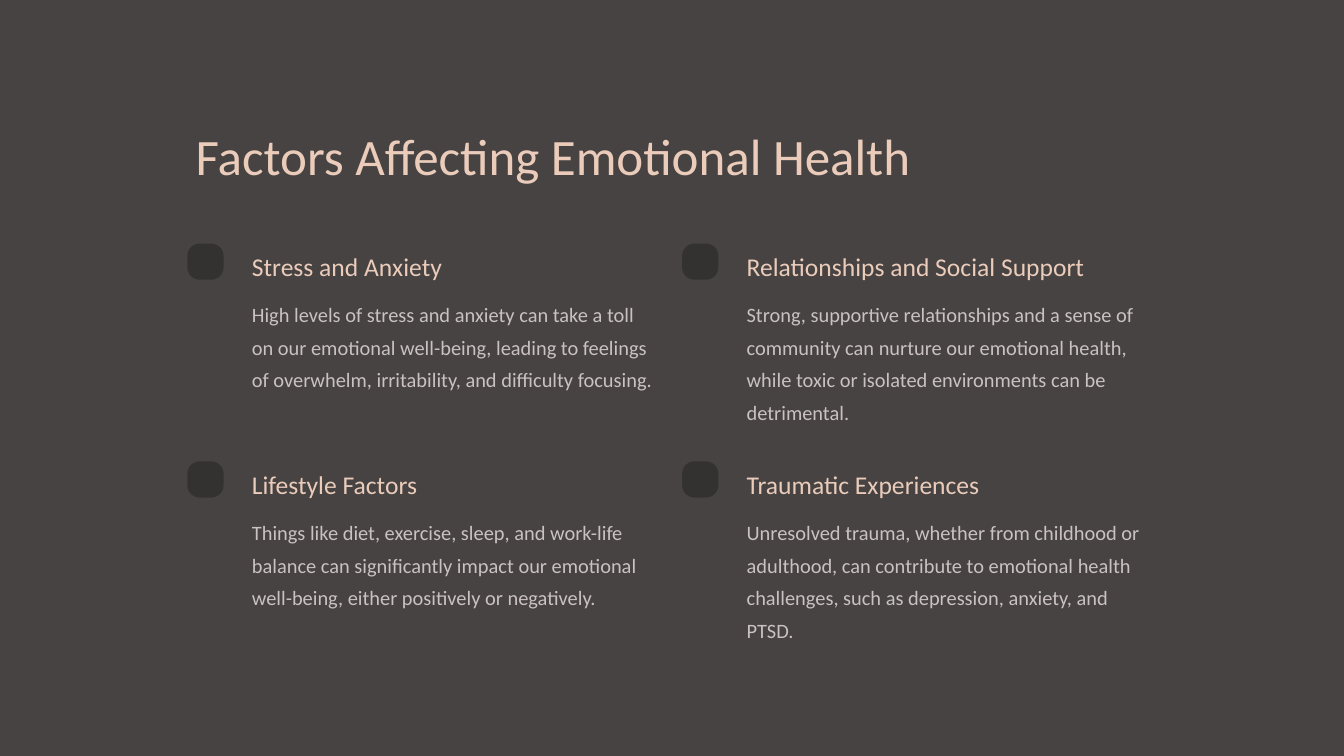
"""Build the slide on factors that affect emotional health."""
import pptx
import pptx.util
import pptx.dml.color
import pptx.enum.shapes

Pt = pptx.util.Pt
Kind = pptx.enum.shapes.MSO_SHAPE


def color(code):
    return pptx.dml.color.RGBColor.from_string(code)


class Deck:
    font = "Calibri"
    back = "464342"
    badge = "343131"
    head = "EBCCBB"
    body = "C9C2C0"

    def __init__(self, wide, high):
        self.file = pptx.Presentation()
        self.file.slide_width = Pt(wide)
        self.file.slide_height = Pt(high)
        self.slide = self.file.slides.add_slide(self.file.slide_layouts[6])

    def shape(self, kind, left, top, wide, high, fill):
        item = self.slide.shapes.add_shape(
            kind, Pt(left), Pt(top), Pt(wide), Pt(high))
        item.shadow.inherit = False
        item.fill.solid()
        item.fill.fore_color.rgb = color(fill)
        item.line.fill.background()
        return item

    def text(self, words, *, left, top, wide, high, size, lead, tint, wrap=False):
        box = self.slide.shapes.add_textbox(
            Pt(left), Pt(top), Pt(wide), Pt(high))
        box.text_frame.word_wrap = wrap
        para = box.text_frame.paragraphs[0]
        para.line_spacing = Pt(lead)
        run = para.add_run()
        run.text = words
        run.font.name = self.font
        run.font.size = Pt(size)
        run.font.color.rgb = color(tint)

    def factor(self, left, top, title, wide, words):
        mark = self.shape(Kind.ROUNDED_RECTANGLE, left, top, 31, 31, self.badge)
        mark.adjustments[0] = 0.34
        inset = left + 48.2
        self.text(title, left=inset, top=top + 1.8, wide=wide, high=27.4,
                  size=21.9, lead=27.3, tint=self.head)
        self.text(words, left=inset, top=top + 39.6, wide=358.6, high=111.6,
                  size=17.5, lead=28, tint=self.body, wrap=True)


FACTORS = [
    ("Stress and Anxiety", 219,
     "High levels of stress and anxiety can take a toll on our emotional "
     "well-being, leading to feelings of overwhelm, irritability, and "
     "difficulty focusing."),
    ("Relationships and Social Support", 320.4,
     "Strong, supportive relationships and a sense of community can nurture "
     "our emotional health, while toxic or isolated environments can be "
     "detrimental."),
    ("Lifestyle Factors", 219,
     "Things like diet, exercise, sleep, and work-life balance can "
     "significantly impact our emotional well-being, either positively or "
     "negatively."),
    ("Traumatic Experiences", 222.5,
     "Unresolved trauma, whether from childhood or adulthood, can contribute "
     "to emotional health challenges, such as depression, anxiety, and PTSD."),
]


def main():
    wide, high = 1152, 648
    left, top = 160.6, 208.8
    deck = Deck(wide, high)
    deck.shape(Kind.RECTANGLE, 0, 0, wide, high, deck.back)
    deck.text("Factors Affecting Emotional Health", left=left, top=100.8,
              wide=684.7, high=54.7, size=43.7, lead=54.7, tint=deck.head)
    for i, (title, span, words) in enumerate(FACTORS):
        row, col = divmod(i, 2)
        deck.factor(left + col * 424.1, top + row * 186.7, title, span, words)
    deck.file.save("out.pptx")


if __name__ == "__main__":
    main()
